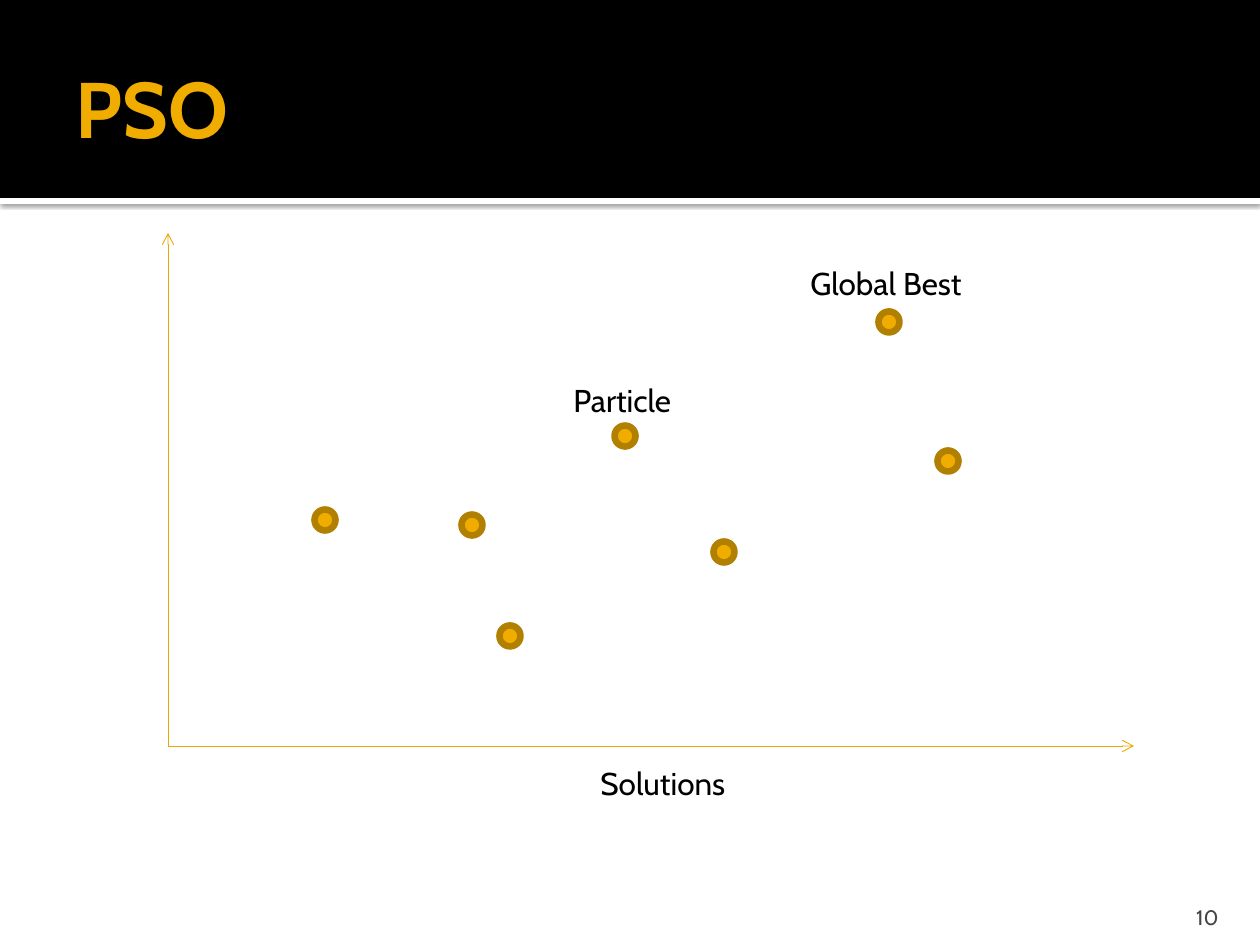
from dataclasses import dataclass

from lxml.etree import SubElement
from pptx import Presentation
from pptx.dml.color import RGBColor
from pptx.enum.shapes import MSO_CONNECTOR as Connector, MSO_SHAPE as Shape
from pptx.enum.text import MSO_ANCHOR as Anchor, MSO_AUTO_SIZE as AutoSize, PP_ALIGN as Align
from pptx.oxml.ns import qn
from pptx.util import Emu, Pt

EMU_PER_PX = 914400 / 126


def px(length):
    return Emu(round(length * EMU_PER_PX))


@dataclass(frozen=True)
class Theme:
    font: str = "Cabin"
    gold: str = "F0AD00"
    axis: str = "EBA900"
    ring: str = "B28000"
    black: str = "000000"
    white: str = "FFFFFF"
    grey: str = "454545"
    title_size: float = 45
    label_size: float = 18
    number_size: float = 12


class SlideBuilder:
    def __init__(self, slide, theme):
        self.slide = slide
        self.shapes = slide.shapes
        self.theme = theme

    def style_text(self, frame, text, size, color, bold=False, align=Align.LEFT):
        paragraph = frame.paragraphs[0]
        paragraph.text = text
        paragraph.alignment = align
        font = paragraph.font
        font.name, font.size, font.bold = self.theme.font, Pt(size), bold
        font.color.rgb = RGBColor.from_string(color)

    def filled(self, kind, box, color):
        shape = self.shapes.add_shape(kind, *map(px, box))
        shape.shadow.inherit = False
        shape.fill.solid()
        shape.fill.fore_color.rgb = RGBColor.from_string(color)
        shape.line.fill.background()
        return shape

    def band(self, box, color, shadow=False):
        band = self.filled(Shape.RECTANGLE, box, color)
        if shadow:
            effects = band.element.spPr.find(qn("a:effectLst"))
            outer = SubElement(effects, qn("a:outerShdw"), blurRad=str(Pt(2.5)),
                               dist=str(Pt(0.8)), dir="5400000", rotWithShape="0")
            tint = SubElement(outer, qn("a:srgbClr"), val=self.theme.black)
            SubElement(tint, qn("a:alpha"), val="60000")

    def title(self, text, box):
        title = self.shapes.title
        title.left, title.top, title.width, title.height = map(px, box)
        frame = title.text_frame
        frame.auto_size = AutoSize.NONE
        frame.vertical_anchor = Anchor.MIDDLE
        frame.margin_right = px(6)
        self.style_text(frame, text, self.theme.title_size, self.theme.gold, bold=True)
        self.shapes.element.append(title.element)  # in front of the bands

    def axis(self, start, end):
        axis = self.shapes.add_connector(Connector.STRAIGHT, *map(px, start + end))
        axis.line.color.rgb = RGBColor.from_string(self.theme.axis)
        axis.line.width = Pt(0.5)
        SubElement(axis.line._get_or_add_ln(), qn("a:tailEnd"), type="arrow")
        SubElement(axis.element.spPr, qn("a:effectLst"))

    def particle(self, center, size=21):
        x, y = center
        dot = self.filled(Shape.OVAL, (x - size / 2, y - size / 2, size, size), self.theme.gold)
        dot.line.color.rgb = RGBColor.from_string(self.theme.ring)
        dot.line.width = Pt(3.78)

    def label(self, text, box, wrap=False):
        frame = self.shapes.add_textbox(*map(px, box)).text_frame
        frame.word_wrap = wrap
        frame.auto_size = AutoSize.SHAPE_TO_FIT_TEXT
        self.style_text(frame, text, self.theme.label_size, self.theme.black)

    def page_number(self, text, box):
        frame = self.shapes.add_textbox(*map(px, box)).text_frame
        frame.word_wrap = True
        frame.vertical_anchor = Anchor.BOTTOM
        frame.margin_bottom = 0
        self.style_text(frame, text, self.theme.number_size, self.theme.grey, align=Align.RIGHT)


def main():
    deck = Presentation()
    deck.slide_width, deck.slide_height = px(1260), px(945)
    theme = Theme()
    builder = SlideBuilder(deck.slides.add_slide(deck.slide_layouts[5]), theme)

    # Header
    builder.band((0, 198, 1260, 6), theme.white, shadow=True)
    builder.band((0, 0, 1260, 198), theme.black)
    builder.title("PSO", (63, 21, 1134, 173))

    # Axes
    origin = (168, 746)
    for axis_end in ((168, 233), (1134, 746)):
        builder.axis(origin, axis_end)

    # Swarm
    global_best, labelled_particle = (889, 322), (625, 436)
    swarm = [(325, 520), (472, 525), (510, 636), (724, 552), (948, 461),
             global_best, labelled_particle]
    for position in swarm:
        builder.particle(position)

    # Labels
    builder.label("Particle", (561, 375, 127, 50))
    builder.label("Global Best", (798, 258, 179, 50))
    builder.label("Solutions", (588, 758, 168, 50), wrap=True)

    # Footer
    builder.page_number("10", (1130, 892, 101, 38))

    deck.save("out.pptx")


if __name__ == "__main__":
    main()
